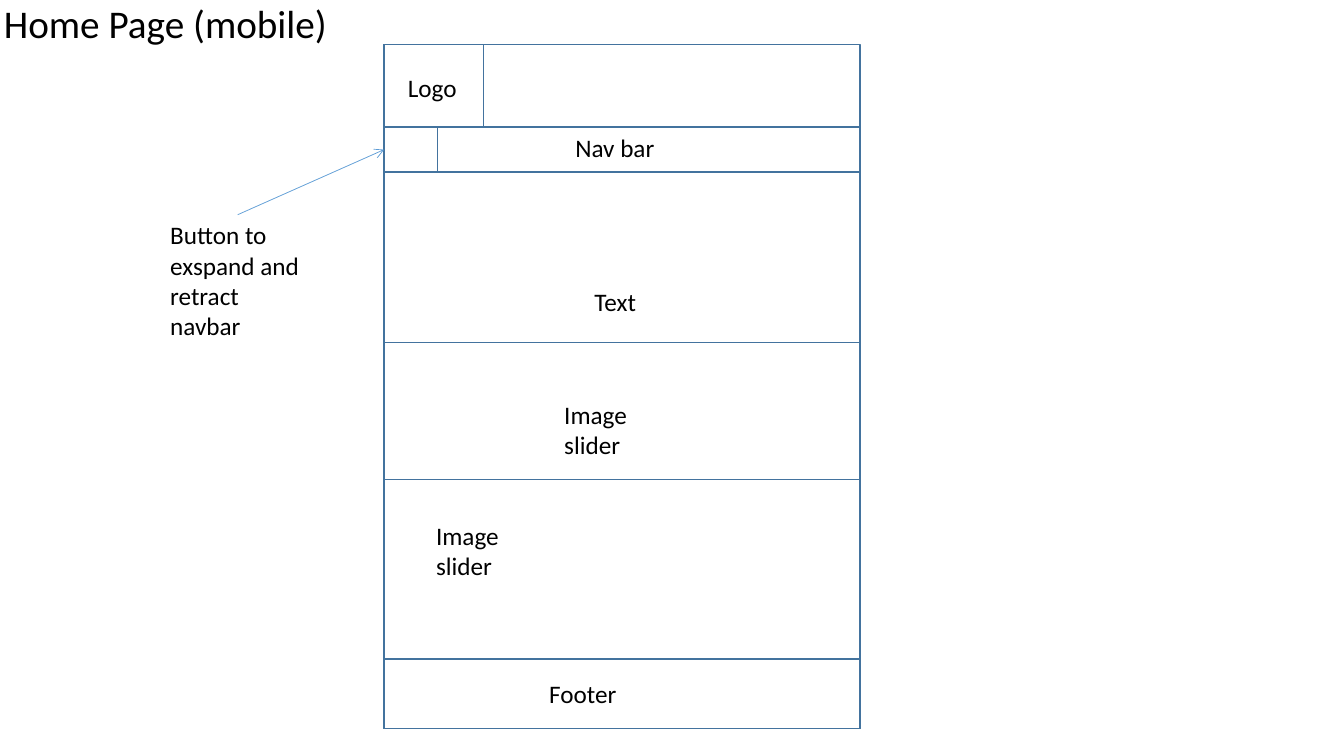
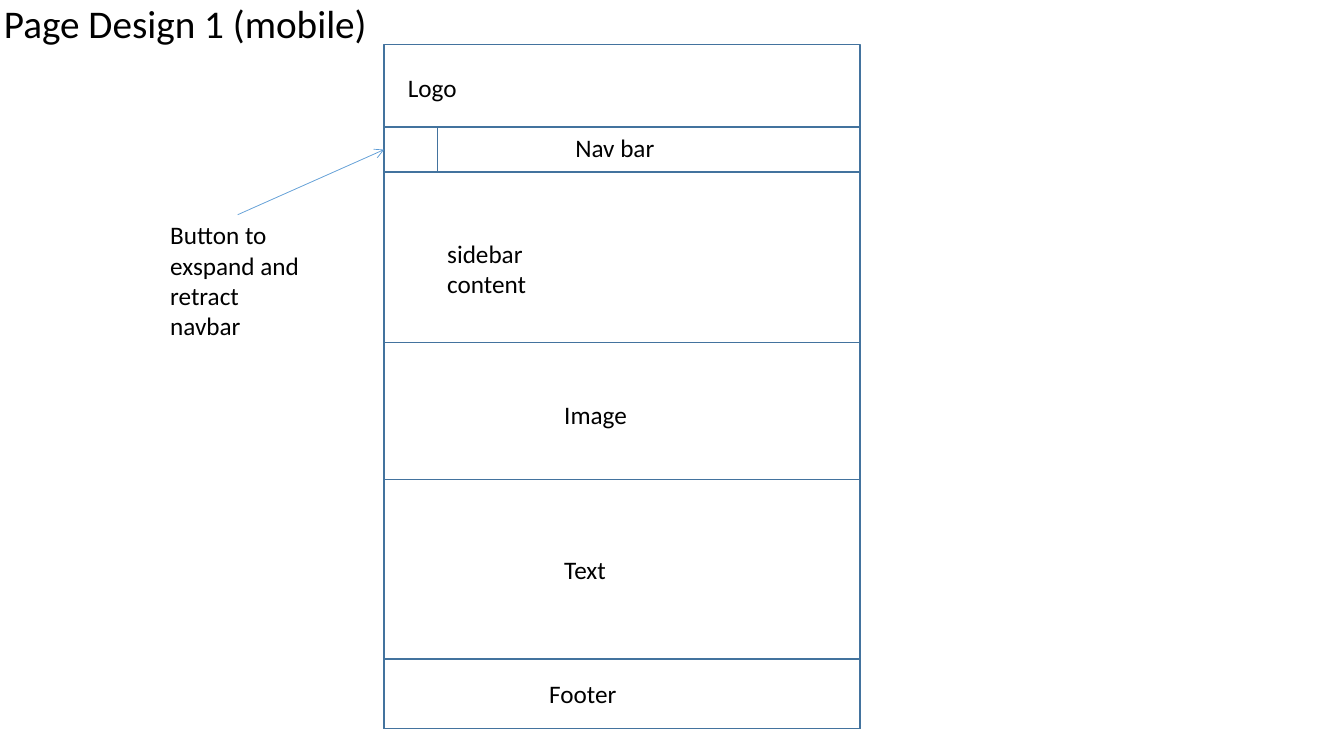
import dataclasses
import itertools

import pptx
import pptx.dml.color
import pptx.enum.shapes
import pptx.enum.text
import pptx.oxml
import pptx.oxml.ns
import pptx.slide
import pptx.util

Cm = pptx.util.Cm
Pt = pptx.util.Pt

# Shared style
FONT = "Calibri"
INK = "000000"
FRAME = "43739E"
ARROW = "5B9BD5"

# Page frame, in cm: the edges part header, nav bar, three sections, footer
LEFT, WIDTH = 9.68, 11.99
EDGES = [1.12, 3.2, 4.34, 8.64, 12.09, 16.61, 18.36]
HEADER, NAV, UPPER, MIDDLE, LOWER, FOOTER = itertools.pairwise(EDGES)
LOGO, BUTTON = 2.51, 1.35
LINE = 1.02


@dataclasses.dataclass
class Label:
    text: str
    left: float
    top: float
    width: float
    lines: int = 1


@dataclasses.dataclass
class Page:
    title: str
    labels: list[Label]
    boxed: bool = False


SHARED = [
    Label("Logo", 10.03, 1.7, 1.82),
    Label("Nav bar", 14.25, 3.2, 2.52),
    Label("Footer", 13.59, 16.97, 3.81),
    Label("Button to exspand and retract navbar", 4.04, 5.41, 3.91, 4),
]

PAGES = [
    Page("Home Page (mobile)", [
        Label("Text", 14.73, 7.09, 1.85),
        Label("Image slider", 10.74, 12.98, 3.4, 2),
        Label("Image slider", 13.97, 9.93, 3.4, 2),
    ], boxed=True),
    Page("Page Design 1 (mobile)", [
        Label("Text", 13.97, 13.84, 1.85),
        Label("sidebar content", 11.02, 5.87, 3.4, 2),
        Label("Image", 13.97, 9.93, 3.4),
    ]),
]


def color(code: str) -> pptx.dml.color.RGBColor:
    return pptx.dml.color.RGBColor.from_string(code)


def add_text(slide: pptx.slide.Slide, label: Label, height: float,
             size: int = 18) -> pptx.util.Length:
    """Add a text box and return its text frame."""
    box = slide.shapes.add_textbox(
        Cm(label.left), Cm(label.top), Cm(label.width), Cm(height))
    frame = box.text_frame
    frame.word_wrap = True
    run = frame.paragraphs[0].add_run()
    run.text = label.text
    run.font.name = FONT
    run.font.size = Pt(size)
    run.font.color.rgb = color(INK)
    return frame


def add_title(slide: pptx.slide.Slide, title: str) -> None:
    frame = add_text(slide, Label(title, -0.15, -1.19, 29.21), 3.68, 28)
    frame.vertical_anchor = pptx.enum.text.MSO_ANCHOR.MIDDLE
    frame.paragraphs[0].line_spacing = 0.9


def add_label(slide: pptx.slide.Slide, label: Label) -> None:
    # One line is 0.76 cm high, plus the insets
    frame = add_text(slide, label, LINE + 0.76 * (label.lines - 1))
    frame.auto_size = pptx.enum.text.MSO_AUTO_SIZE.SHAPE_TO_FIT_TEXT


def add_box(slide: pptx.slide.Slide, band: tuple[float, float],
            width: float = WIDTH) -> None:
    top, end = band
    box = slide.shapes.add_shape(
        pptx.enum.shapes.MSO_SHAPE.RECTANGLE,
        Cm(LEFT), Cm(top), Cm(width), Cm(end - top))
    box.shadow.inherit = False
    box.fill.background()
    box.line.color.rgb = color(FRAME)
    box.line.width = Pt(1)


def add_arrow(slide: pptx.slide.Slide) -> None:
    """Point from the note to the nav button."""
    line = slide.shapes.add_connector(
        pptx.enum.shapes.MSO_CONNECTOR.STRAIGHT,
        Cm(5.99), Cm(5.41), Cm(LEFT), Cm(sum(NAV) / 2))
    line.line.color.rgb = color(ARROW)
    line.line.width = Pt(0.5)
    props = line._element.spPr
    head = pptx.oxml.ns.qn("a:tailEnd")
    line.line._get_or_add_ln().append(
        props.makeelement(head, {"type": "arrow"}))
    props.append(props.makeelement(pptx.oxml.ns.qn("a:effectLst"), {}))


def add_page(deck: pptx.presentation.Presentation, page: Page) -> None:
    slide = deck.slides.add_slide(deck.slide_layouts[6])
    add_title(slide, page.title)
    # Outer frame, then the bands inside it
    add_box(slide, (EDGES[0], EDGES[-1]))
    if page.boxed:
        add_box(slide, HEADER, LOGO)
    for band in (NAV, FOOTER, UPPER, LOWER):
        add_box(slide, band)
    add_box(slide, NAV, BUTTON)
    # Wording and pointer
    for label in SHARED + page.labels:
        add_label(slide, label)
    add_arrow(slide)


deck = pptx.Presentation()
deck.slide_width, deck.slide_height = Cm(33.87), Cm(19.05)
for page in PAGES:
    add_page(deck, page)
deck.save("out.pptx")
